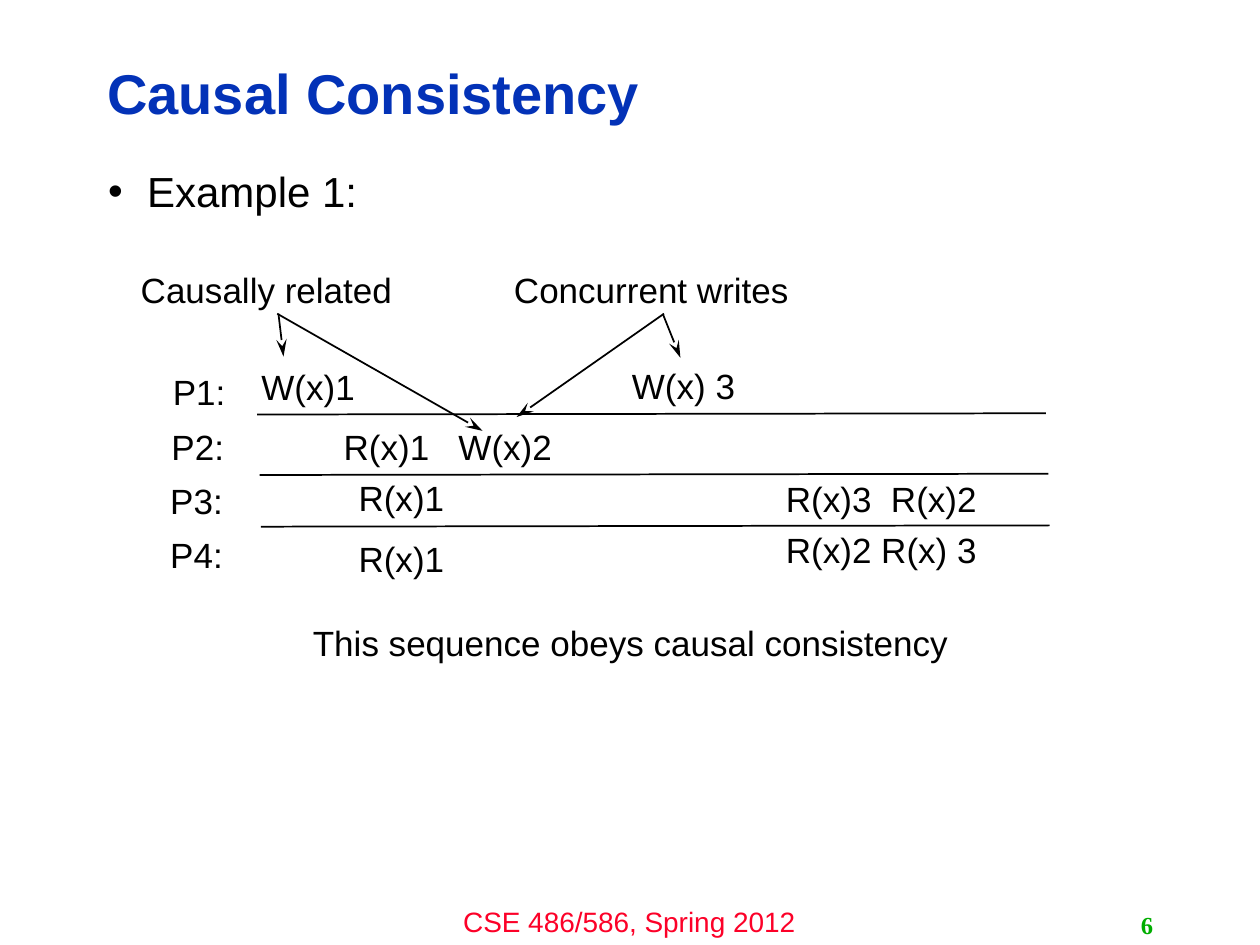
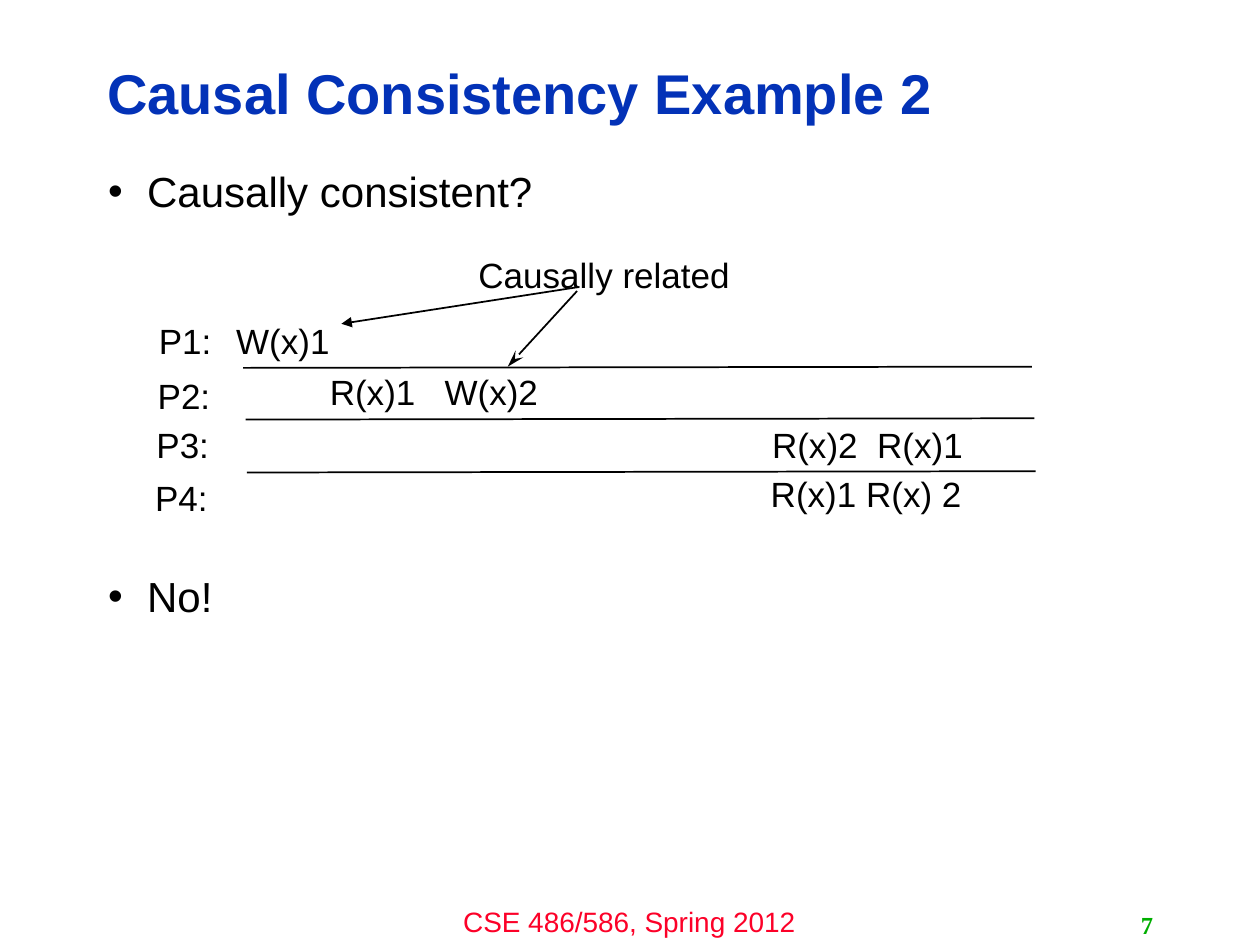
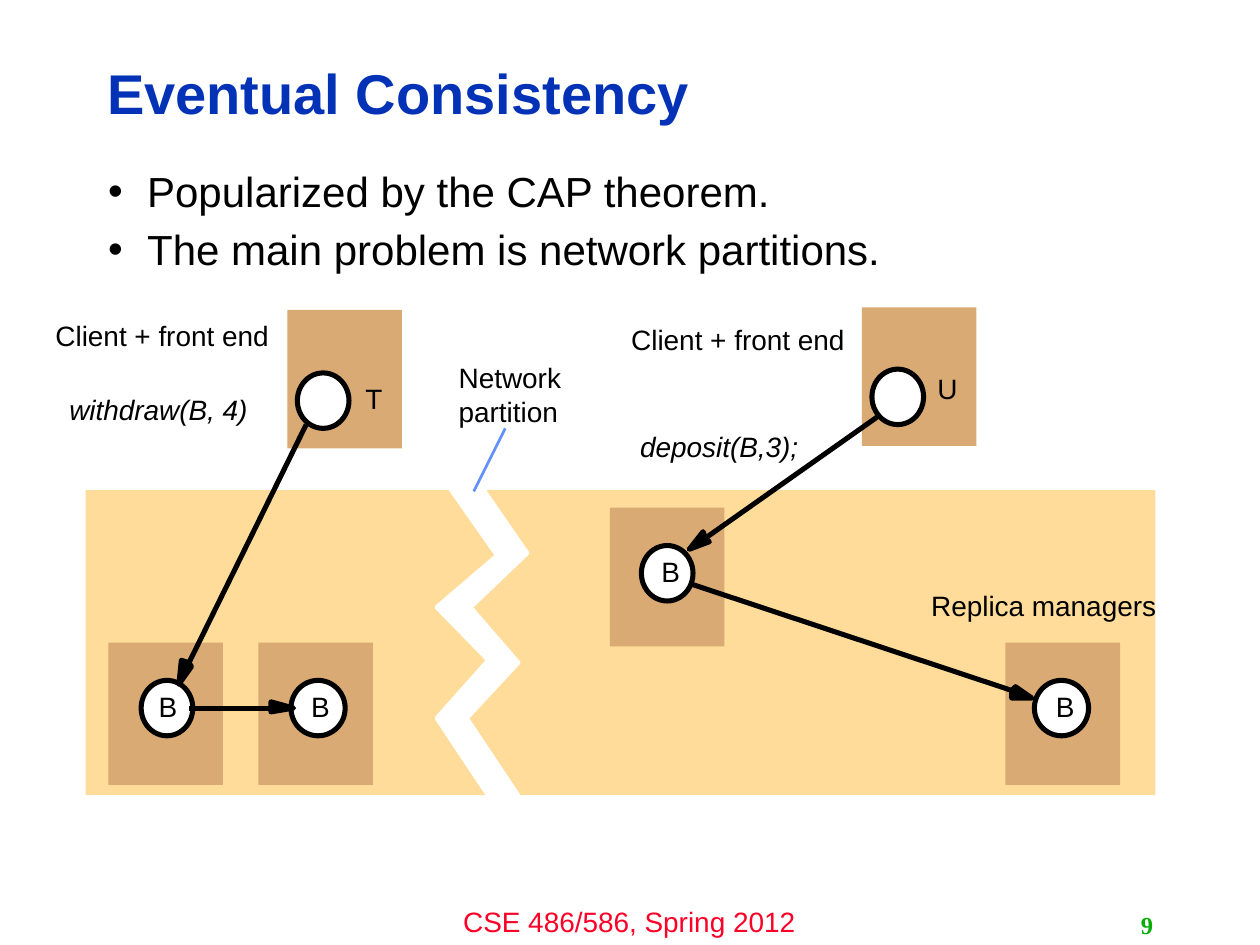
from dataclasses import dataclass

from lxml import etree
from pptx import Presentation
from pptx.dml.color import RGBColor
from pptx.enum.shapes import MSO_CONNECTOR, MSO_SHAPE
from pptx.enum.text import MSO_ANCHOR, PP_ALIGN
from pptx.oxml.ns import qn
from pptx.shapes.autoshape import Shape
from pptx.slide import Slide
from pptx.text.text import TextFrame
from pptx.util import Inches, Pt

STRAIGHT = MSO_CONNECTOR.STRAIGHT
RECTANGLE, OVAL = MSO_SHAPE.RECTANGLE, MSO_SHAPE.OVAL
TOP, MIDDLE = MSO_ANCHOR.TOP, MSO_ANCHOR.MIDDLE
LEFT, CENTER, RIGHT = PP_ALIGN.LEFT, PP_ALIGN.CENTER, PP_ALIGN.RIGHT

COLORS = {
    "title": "0332B7",
    "text": "000000",
    "footer": "FC0128",
    "number": "00AE00",
    "white": "FFFFFF",
    "band": "FFDC99",
    "tile": "D9AA73",
    "pointer": "618FFD",
}
FONT = "Arial"
NUMBER_FONT = "Times New Roman"
FOOTER = "CSE 486/586, Spring 2012"
HEAVY = 2.88  # line width of the replica diagram, in points
HEAD_LENGTHS = {"stealth": "lg", "triangle": "med"}

Point = tuple[float, float]


@dataclass
class Label:
    text: str
    left: float
    top: float
    width: float
    italic: bool = False


@dataclass
class Arrow:
    start: Point
    end: Point
    head: str = "stealth"


@dataclass
class Timeline:
    """Process labels, the rules between them, the events and their arrows."""
    processes: list[Point]
    rules: list[Point]
    events: list[Label]
    arrows: list[Arrow]


@dataclass
class Node:
    """A computer tile holding one process circle and its letter."""
    tile: Point
    tile_height: float
    circle: Point
    circle_width: float
    letter: Label


@dataclass
class Message:
    """A heavy line whose arrowhead is a small outlined polygon."""
    start: Point
    end: Point
    head: list[Point]


# Basic drawing

def color(name: str) -> RGBColor:
    return RGBColor.from_string(COLORS[name])


def set_text(frame: TextFrame, lines: list[str], size: float, color_name: str = "text",
             align: PP_ALIGN = LEFT, font: str = FONT, bold: bool = False,
             italic: bool = False) -> None:
    for index, line in enumerate(lines):
        paragraph = frame.paragraphs[0] if index == 0 else frame.add_paragraph()
        paragraph.text = line
        paragraph.alignment = align
        paragraph.font.name = font
        paragraph.font.size = Pt(size)
        paragraph.font.bold = bold
        paragraph.font.italic = italic
        paragraph.font.color.rgb = color(color_name)


def add_text_box(slide: Slide, left: float, top: float, width: float, height: float,
                 anchor: MSO_ANCHOR = TOP, wrap: bool = False) -> TextFrame:
    box = slide.shapes.add_textbox(Inches(left), Inches(top), Inches(width), Inches(height))
    frame = box.text_frame
    frame.word_wrap = wrap
    frame.vertical_anchor = anchor
    return frame


def add_line(slide: Slide, start: Point, end: Point, width: float = 1,
             color_name: str = "text", head: str = "") -> None:
    line = slide.shapes.add_connector(STRAIGHT, Inches(start[0]), Inches(start[1]),
                                      Inches(end[0]), Inches(end[1]))
    line.line.color.rgb = color(color_name)
    line.line.width = Pt(width)
    if head:
        etree.SubElement(line.line._get_or_add_ln(), qn("a:tailEnd"),
                         type=head, w="med", len=HEAD_LENGTHS[head])
    etree.SubElement(line._element.spPr, qn("a:effectLst"))


def paint(shape: Shape, fill: str, line: str = "") -> None:
    shape.shadow.inherit = False
    shape.fill.solid()
    shape.fill.fore_color.rgb = color(fill)
    if line:
        shape.line.color.rgb = color(line)
        shape.line.width = Pt(HEAVY)
    else:
        shape.line.fill.background()


def add_preset(slide: Slide, preset: MSO_SHAPE, corner: Point, width: float,
               height: float, fill: str, line: str = "") -> None:
    shape = slide.shapes.add_shape(preset, Inches(corner[0]), Inches(corner[1]),
                                   Inches(width), Inches(height))
    paint(shape, fill, line)


def add_polygon(slide: Slide, points: list[Point], color_name: str) -> None:
    corners = [(Inches(x), Inches(y)) for x, y in points]
    builder = slide.shapes.build_freeform(*corners[0])
    builder.add_line_segments(corners[1:], close=True)
    paint(builder.convert_to_shape(), color_name, color_name)


# Parts shared by all slides

def add_bullets(slide: Slide, lines: list[str], gaps: list[float]) -> None:
    """Each gap is the space in points before its bullet."""
    frame = add_text_box(slide, 0.76, 1.31, 8.4, 5.39, wrap=True)
    set_text(frame, lines, 24)
    for paragraph, gap in zip(frame.paragraphs, gaps):
        paragraph.line_spacing = 0.9
        paragraph.space_before = Pt(gap)
        properties = paragraph._p.get_or_add_pPr()
        properties.set("marL", str(Inches(0.31)))
        properties.set("indent", str(Inches(-0.31)))
        bullet_font = etree.Element(qn("a:buFont"), typeface=FONT)
        properties.find(qn("a:spcBef")).addnext(bullet_font)
        bullet_font.addnext(etree.Element(qn("a:buChar"), char="•"))


def add_base_slide(presentation: Presentation, title: str, number: int,
                   bullets: list[str], gaps: list[float]) -> Slide:
    slide = presentation.slides.add_slide(presentation.slide_layouts[5])
    heading = slide.shapes.title
    heading.left, heading.top = Inches(0.75), Inches(0.36)
    heading.width, heading.height = Inches(7.98), Inches(0.81)
    heading.text_frame.vertical_anchor = MIDDLE
    set_text(heading.text_frame, [title], 32, "title", bold=True)
    heading.text_frame.paragraphs[0].line_spacing = 0.9

    add_bullets(slide, bullets, gaps)
    footer = add_text_box(slide, 3.33, 7.13, 3.33, 0.37, wrap=True)
    set_text(footer, [FOOTER], 16, "footer", CENTER)
    page = add_text_box(slide, 7.17, 7.18, 2.08, 0.32, MIDDLE)
    set_text(page, [str(number)], 14, "number", RIGHT, NUMBER_FONT, bold=True)
    return slide


# Timeline slides

def add_event(slide: Slide, label: Label) -> None:
    frame = add_text_box(slide, label.left, label.top, label.width, 0.44, MIDDLE)
    set_text(frame, [label.text], 20, align=CENTER)


def add_timeline(slide: Slide, timeline: Timeline) -> None:
    for left, top in timeline.rules:
        add_line(slide, (left, top), (left + 6.26, top - 0.01))
    for index, (left, top) in enumerate(timeline.processes, start=1):
        add_event(slide, Label(f"P{index}:", left, top, 0.62))
    for event in timeline.events:
        add_event(slide, event)
    for arrow in timeline.arrows:
        add_line(slide, arrow.start, arrow.end, head=arrow.head)


# Replica slide

def add_note(slide: Slide, label: Label) -> None:
    frame = add_text_box(slide, label.left, label.top, label.width, 0.27, MIDDLE)
    frame.margin_left = frame.margin_right = frame.margin_top = frame.margin_bottom = 0
    set_text(frame, [label.text], 16, italic=label.italic)


def add_node(slide: Slide, node: Node) -> None:
    add_preset(slide, RECTANGLE, node.tile, 0.91, node.tile_height, "tile")
    add_preset(slide, OVAL, node.circle, node.circle_width, 0.44, "white", "text")
    add_note(slide, node.letter)


def add_message(slide: Slide, message: Message) -> None:
    add_polygon(slide, message.head, "text")
    add_line(slide, message.start, message.end, HEAVY)


# Content

EXAMPLE_1 = Timeline(
    processes=[(1.27, 2.89), (1.26, 3.32), (1.25, 3.75), (1.25, 4.18)],
    rules=[(2.04, 3.29), (2.06, 3.77), (2.07, 4.18)],
    events=[
        Label("W(x)1", 1.97, 2.85, 0.95),
        Label("W(x) 3", 4.91, 2.84, 1.03),
        Label("R(x)1   W(x)2", 2.62, 3.32, 1.87),
        Label("R(x)1", 2.74, 3.73, 0.89),
        Label("R(x)1", 2.74, 4.21, 0.89),
        Label("R(x)3  R(x)2", 6.13, 3.74, 1.73),
        Label("R(x)2 R(x) 3", 6.13, 4.14, 1.73),
        Label("This sequence obeys causal consistency", 2.36, 4.88, 5.29),
        Label("Concurrent writes", 3.97, 2.08, 2.4),
        Label("Causally related", 1.01, 2.08, 2.21),
    ],
    arrows=[
        Arrow((5.27, 2.49), (4.1, 3.31)),
        Arrow((5.26, 2.49), (5.4, 2.84)),
        Arrow((2.21, 2.49), (2.25, 2.83)),
        Arrow((2.2, 2.49), (3.83, 3.42)),
    ],
)

EXAMPLE_2 = Timeline(
    processes=[(1.16, 2.48), (1.15, 2.92), (1.14, 3.31), (1.13, 3.73)],
    rules=[(1.93, 2.92), (1.95, 3.33), (1.96, 3.75)],
    events=[
        Label("W(x)1", 1.77, 2.48, 0.95),
        Label("R(x)1   W(x)2", 2.51, 2.89, 1.87),
        Label("R(x)2  R(x)1", 6.02, 3.31, 1.73),
        Label("R(x)1 R(x) 2", 6.01, 3.7, 1.73),
        Label("Causally related", 3.69, 1.96, 2.21),
    ],
    arrows=[
        Arrow((4.58, 2.28), (2.71, 2.57), "triangle"),
        Arrow((4.58, 2.31), (4.03, 2.91)),
    ],
)

NODES = [
    Node((2.28, 2.46), 1.1, (2.36, 2.96), 0.41, Label("T", 2.9, 3.03, 0.15)),
    Node((6.84, 2.44), 1.1, (6.92, 2.93), 0.41, Label("U", 7.44, 2.95, 0.18)),
    Node((4.84, 4.03), 1.1, (5.09, 4.33), 0.41, Label("B", 5.25, 4.4, 0.17)),
    Node((0.86, 5.1), 1.13, (1.12, 5.4), 0.41, Label("B", 1.26, 5.47, 0.17)),
    Node((2.05, 5.1), 1.13, (2.31, 5.4), 0.43, Label("B", 2.47, 5.47, 0.17)),
    Node((7.98, 5.1), 1.13, (8.21, 5.4), 0.43, Label("B", 8.38, 5.47, 0.17)),
]

NOTES = [
    Label("Client + front end", 0.44, 2.53, 1.75),
    Label("withdraw(B, 4)", 0.55, 3.11, 1.45, italic=True),
    Label("Client + front end", 5.01, 2.56, 1.75),
    Label("deposit(B,3);", 5.08, 3.41, 1.3, italic=True),
    Label("Replica managers", 7.39, 4.67, 1.82),
    Label("Network", 3.64, 2.86, 0.85),
    Label("partition", 3.64, 3.13, 0.85),
]

MESSAGES = [
    Message((2.43, 3.37), (1.5, 5.26),
            [(1.5, 5.26), (1.52, 5.29), (1.42, 5.43), (1.44, 5.24)]),
    Message((1.5, 5.62), (2.15, 5.62),
            [(2.15, 5.62), (2.15, 5.57), (2.33, 5.62), (2.15, 5.65)]),
    Message((6.99, 3.29), (5.6, 4.27),
            [(5.6, 4.27), (5.63, 4.3), (5.47, 4.36), (5.58, 4.22)]),
    Message((5.47, 4.63), (8.03, 5.48),
            [(8.03, 5.48), (8.06, 5.45), (8.19, 5.54), (8.03, 5.54)]),
]

PARTITION = [
    (3.55, 3.84), (3.95, 4.41), (3.47, 4.82), (3.88, 5.24), (3.47, 5.7), (3.95, 6.42),
    (4.16, 6.39), (3.7, 5.7), (4.11, 5.26), (3.73, 4.82), (4.18, 4.39), (3.78, 3.81),
]

# Slides

presentation = Presentation()
presentation.slide_width, presentation.slide_height = Inches(10), Inches(7.5)

slide = add_base_slide(presentation, "Causal Consistency", 6, ["Example 1:"], [0])
add_timeline(slide, EXAMPLE_1)

slide = add_base_slide(presentation, "Causal Consistency Example 2", 7,
                       ["Causally consistent?", "No!"], [0, 205.5])
add_timeline(slide, EXAMPLE_2)

slide = add_base_slide(presentation, "Eventual Consistency", 9,
                       ["Popularized by the CAP theorem.",
                        "The main problem is network partitions."], [0, 7.2])
add_preset(slide, RECTANGLE, (0.68, 3.89), 8.49, 2.42, "band")
for node in NODES:
    add_node(slide, node)
for note in NOTES:
    add_note(slide, note)
for message in MESSAGES:
    add_message(slide, message)
add_polygon(slide, PARTITION, "white")
add_line(slide, (4.01, 3.4), (3.76, 3.9), 1.5, "pointer")

presentation.save("out.pptx")
